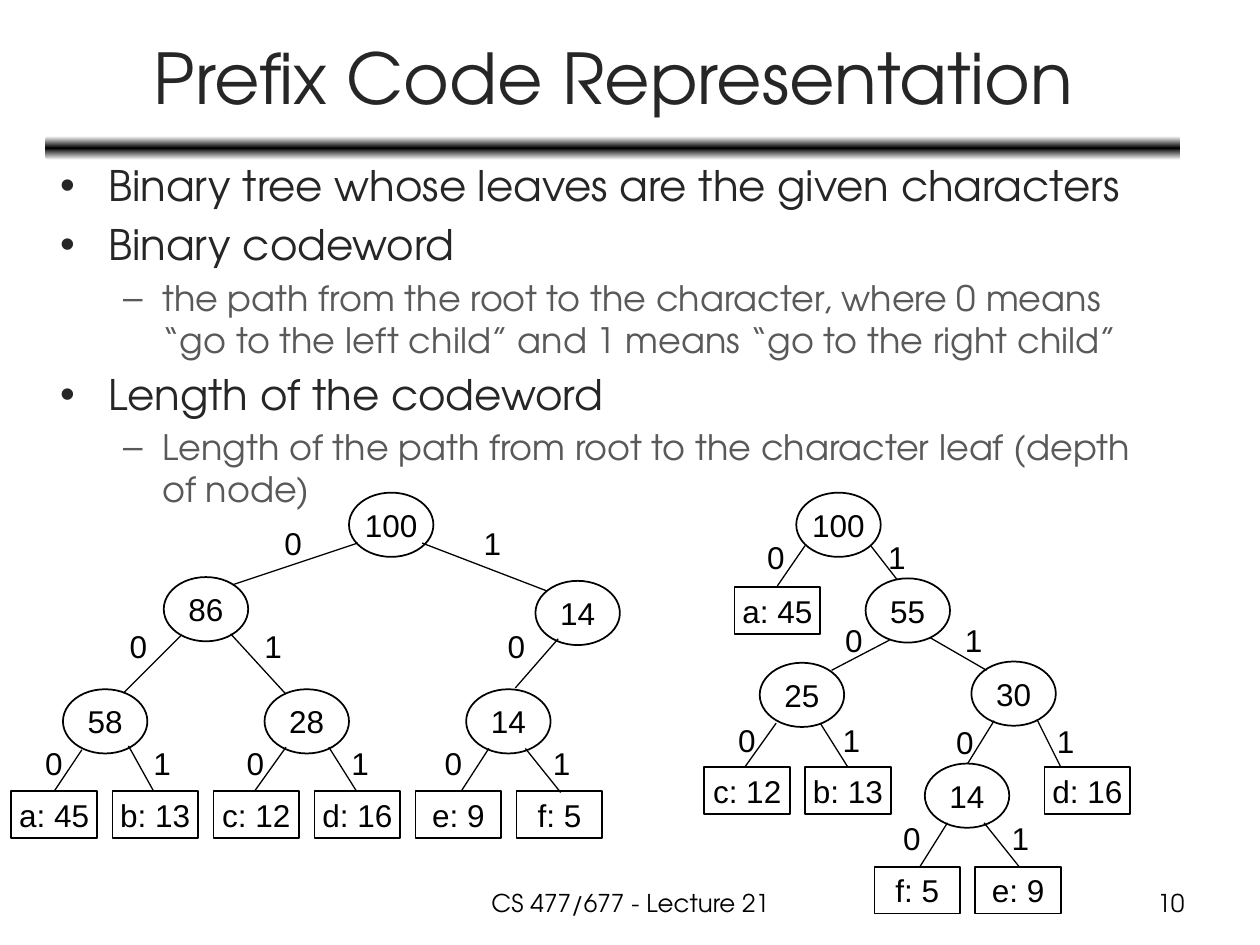
from copy import deepcopy
from dataclasses import dataclass

from lxml import etree
from pptx import Presentation
from pptx.dml.color import RGBColor
from pptx.enum.shapes import MSO_CONNECTOR as Connector, MSO_SHAPE as Shape
from pptx.enum.text import MSO_ANCHOR as Anchor, MSO_AUTO_SIZE as AutoSize, PP_ALIGN as Align
from pptx.oxml.ns import qn
from pptx.util import Inches, Pt


@dataclass(frozen=True)
class Theme:
    heading_font: str = "TeX Gyre Adventor"
    tree_font: str = "Arial"
    black: str = "000000"
    white: str = "FFFFFF"
    dark: str = "262626"
    gray: str = "595959"
    title_size: int = 40
    body_sizes: tuple = (24, 20)
    tree_size: int = 18
    footer_size: int = 14
    outline: float = 1
    branch: float = 0.75


THEME = Theme()

# Content
TITLE = "Prefix Code Representation"
FOOTER = "CS 477/677 - Lecture 21"
PAGE_NUMBER = "10"
BULLETS = [
    (0, "Binary tree whose leaves are the given characters"),
    (0, "Binary codeword"),
    (1, "the path from the root to the character, where 0 means "
        "“go to the left child” and 1 means “go to the right child”"),
    (0, "Length of the codeword "),
    (1, "Length of the path from root to the character leaf (depth of node)"),
]

# Leaves of the fixed-length tree stand in one evenly spaced row
FIXED_LEAVES = ["a: 45", "b: 13", "c: 12", "d: 16", "e: 9", "f: 5"]
LEAF_LEFT, LEAF_STEP, LEAF_TOP = 0.09, 0.802, 6.28

# Nodes: label, left, top. Branches: bit, bit left, bit top, line start, line end.
FIXED_TREE = {
    "nodes": [
        ("100", 2.77, 3.91), ("86", 1.3, 4.58), ("14", 4.25, 4.61),
        *[(label, 0.5 + 1.6 * i, 5.47) for i, label in enumerate(["58", "28", "14"])],
        *[(label, LEAF_LEFT + LEAF_STEP * i, LEAF_TOP) for i, label in enumerate(FIXED_LEAVES)],
    ],
    "branches": [
        ("0", 2.16, 4.11, (2.84, 4.31), (1.85, 4.64)),
        ("1", 3.74, 4.11, (3.35, 4.31), (4.34, 4.69)),
        ("0", 0.93, 4.93, (1.44, 5.04), (0.98, 5.5)),
        ("1", 2.0, 4.93, (1.83, 5.03), (2.27, 5.51)),
        ("0", 3.93, 4.93, (4.43, 5.07), (4.09, 5.46)),
        ("0", 0.26, 5.86, (0.65, 5.95), (0.43, 6.28)),
        ("1", 1.12, 5.86, (1.02, 5.92), (1.22, 6.28)),
        ("0", 1.86, 5.86, (2.27, 5.93), (2.02, 6.28)),
        ("1", 2.69, 5.86, (2.61, 5.93), (2.83, 6.28)),
        ("0", 3.43, 5.86, (3.88, 5.94), (3.66, 6.28)),
        ("1", 4.29, 5.86, (4.17, 5.94), (4.45, 6.29)),
    ],
}
VARIABLE_TREE = {
    "nodes": [
        ("100", 6.32, 3.91), ("a: 45", 5.83, 4.66), ("55", 6.87, 4.59),
        ("25", 6.03, 5.26), ("30", 7.71, 5.25), ("c: 12", 5.59, 6.09),
        ("b: 13", 6.39, 6.09), ("14", 7.34, 6.06), ("d: 16", 8.29, 6.09),
        ("f: 5", 6.94, 6.88), ("e: 9", 7.74, 6.88),
    ],
    "branches": [
        ("0", 5.99, 4.22, (6.39, 4.33), (6.17, 4.65)),
        ("1", 6.95, 4.22, (6.91, 4.33), (7.12, 4.6)),
        ("0", 6.61, 4.88, (7.06, 5.08), (6.6, 5.32)),
        ("1", 7.56, 4.88, (7.38, 5.06), (7.83, 5.32)),
        ("0", 5.76, 5.67, (6.16, 5.74), (5.91, 6.09)),
        ("1", 6.59, 5.67, (6.51, 5.74), (6.73, 6.09)),
        ("0", 7.49, 5.69, (7.89, 5.72), (7.68, 6.06)),
        ("1", 8.29, 5.68, (8.23, 5.71), (8.42, 6.09)),
        ("0", 7.07, 6.45, (7.52, 6.53), (7.3, 6.88)),
        ("1", 7.93, 6.45, (7.81, 6.53), (8.09, 6.88)),
    ],
}
NODE_SIZE, LEAF_SIZE, BIT_SIZE = (0.67, 0.51), (0.68, 0.37), (0.34, 0.4)


def box(left, top, width, height):
    return [Inches(value) for value in (left, top, width, height)]


def write(paragraph, text, *, size, color=THEME.black, font=THEME.heading_font, align=Align.LEFT):
    paragraph.alignment = align
    run = paragraph.add_run()
    run.text = text
    run.font.name = font
    run.font.size = Pt(size)
    run.font.color.rgb = RGBColor.from_string(color)


def add_text(shapes, text, bounds, *, wrap=True, **style):
    frame = shapes.add_textbox(*box(*bounds)).text_frame
    frame.word_wrap = wrap
    write(frame.paragraphs[0], text, **style)


def add_bullet(paragraph, level, text):
    size = THEME.body_sizes[level]
    write(paragraph, text, size=size, color=(THEME.dark, THEME.gray)[level])
    paragraph.level = level
    paragraph.space_before = Pt(size * 0.2)
    margin, indent = [(0.38, -0.38), (0.81, -0.31)][level]
    properties = paragraph._p.get_or_add_pPr()
    properties.set("marL", str(Inches(margin)))
    properties.set("indent", str(Inches(indent)))
    etree.SubElement(properties, qn("a:buFont")).set("typeface", THEME.tree_font)
    etree.SubElement(properties, qn("a:buChar")).set("char", "•–"[level])


def add_node(shapes, label, left, top):
    is_leaf = ":" in label
    kind, size = (Shape.RECTANGLE, LEAF_SIZE) if is_leaf else (Shape.OVAL, NODE_SIZE)
    node = shapes.add_shape(kind, *box(left, top, *size))
    node.shadow.inherit = False
    node.fill.solid()
    node.fill.fore_color.rgb = RGBColor.from_string(THEME.white)
    node.line.color.rgb = RGBColor.from_string(THEME.black)
    node.line.width = Pt(THEME.outline)
    frame = node.text_frame
    frame.word_wrap = False
    frame.vertical_anchor = Anchor.MIDDLE
    write(frame.paragraphs[0], label, size=THEME.tree_size, font=THEME.tree_font,
          align=Align.CENTER)


def add_branch(shapes, bit, left, top, start, end):
    line = shapes.add_connector(Connector.STRAIGHT, *box(*start, *end))
    line.line.color.rgb = RGBColor.from_string(THEME.black)
    line.line.width = Pt(THEME.branch)
    etree.SubElement(line._element.spPr, qn("a:effectLst"))
    add_text(shapes, bit, (left, top, *BIT_SIZE), wrap=False,
             size=THEME.tree_size, font=THEME.tree_font)


def add_tree(slide, tree):
    shapes = slide.shapes.add_group_shape().shapes
    for node in tree["nodes"]:
        add_node(shapes, *node)
    for branch in tree["branches"]:
        add_branch(shapes, *branch)


def add_title_bar(slide):
    bar = slide.shapes.add_shape(Shape.ROUNDED_RECTANGLE, *box(0.36, 1.08, 9.01, 0.19))
    bar.shadow.inherit = False
    bar.line.fill.background()
    bar.fill.gradient()
    bar.fill.gradient_angle = 90
    stop_list = bar._element.spPr.find(qn("a:gradFill")).find(qn("a:gsLst"))
    stop_list.append(deepcopy(stop_list[0]))
    colors = (THEME.white, THEME.black, THEME.white)
    for stop, position, color in zip(bar.fill.gradient_stops, (0, 0.5, 1), colors):
        stop.position = position
        stop.color.rgb = RGBColor.from_string(color)


presentation = Presentation()
presentation.slide_width, presentation.slide_height = Inches(10), Inches(7.5)
slide = presentation.slides.add_slide(presentation.slide_layouts[5])

# Title and bar
add_title_bar(slide)
title = slide.shapes.title
title.left, title.top, title.width, title.height = box(0.37, 0.11, 9, 0.99)
title.text_frame.auto_size = AutoSize.NONE
title.text_frame.vertical_anchor = Anchor.MIDDLE
write(title.text_frame.paragraphs[0], TITLE, size=THEME.title_size, color=THEME.dark,
      align=Align.CENTER)

# Bullets
body = slide.shapes.add_textbox(*box(0.38, 1.22, 9, 2.83)).text_frame
body.word_wrap = True
for i, (level, text) in enumerate(BULLETS):
    add_bullet(body.add_paragraph() if i else body.paragraphs[0], level, text)

# Trees
for tree in (FIXED_TREE, VARIABLE_TREE):
    add_tree(slide, tree)

# Footer
add_text(slide.shapes, FOOTER, (3.42, 7, 3.17, 0.35), size=THEME.footer_size, align=Align.CENTER)
add_text(slide.shapes, PAGE_NUMBER, (7.17, 7, 2.33, 0.35), size=THEME.footer_size,
         align=Align.RIGHT)

presentation.save("out.pptx")
